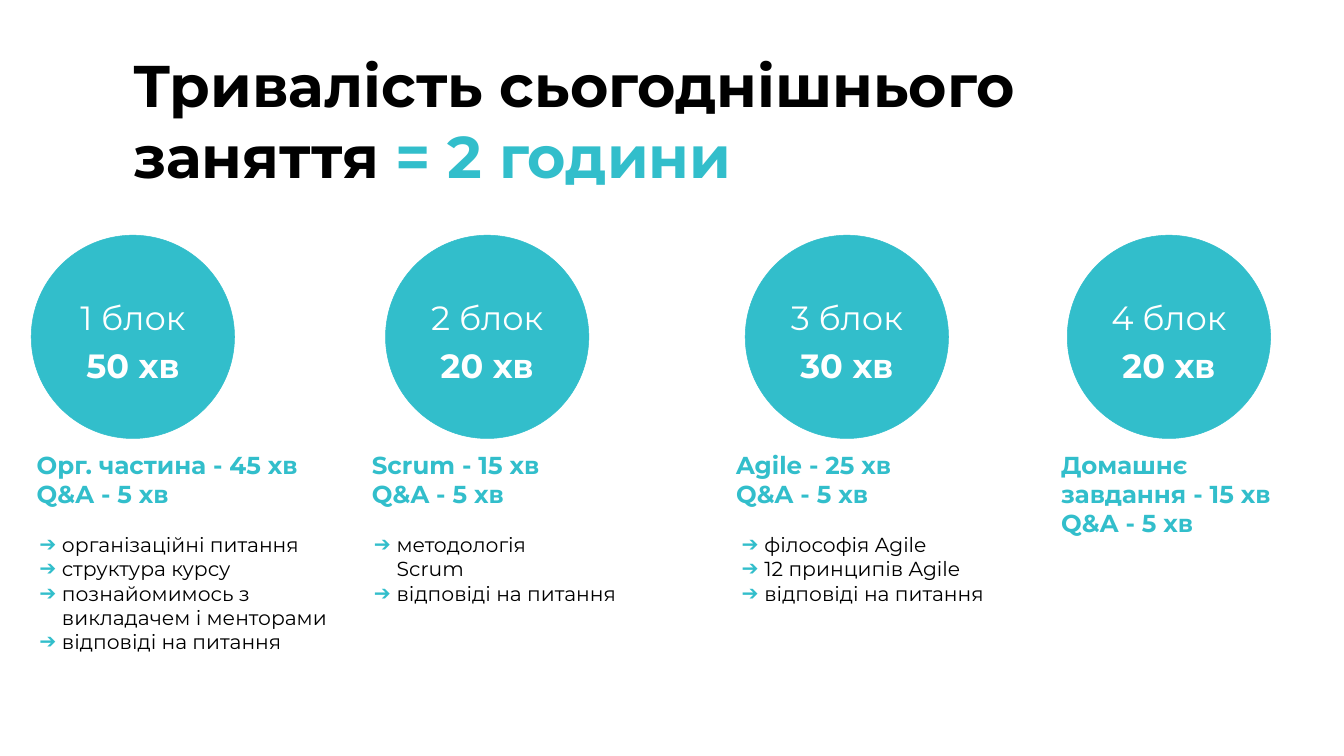
import pptx
import pptx.util
import pptx.dml.color
import pptx.enum.shapes
import pptx.enum.text
import pptx.oxml
import pptx.oxml.ns
import lxml.etree

Pt, Inches = pptx.util.Pt, pptx.util.Inches
Align, Anchor = pptx.enum.text.PP_ALIGN, pptx.enum.text.MSO_ANCHOR
TEAL, BLACK, WHITE = "32BECB", "000000", "FFFFFF"
COLS, ROWS = 80, 45


def color(hex):
    return pptx.dml.color.RGBColor.from_string(hex)


def write(para, text, size=29, fill=BLACK, bold=False, font="Montserrat"):
    """Add text to a paragraph; a newline becomes a line break."""
    for i, line in enumerate(text.split("\n")):
        if i:
            para.add_line_break()
        run = para.add_run()
        run.text = line
        run.font.name, run.font.size, run.font.bold = font, Pt(size), bold
        run.font.color.rgb = color(fill)


def bullet(para, mark="➔"):
    props = para._p.get_or_add_pPr()
    props.set("marL", str(Inches(0.51)))
    props.set("indent", str(Inches(-0.45)))
    qn = pptx.oxml.ns.qn
    tint = lxml.etree.SubElement(props, qn("a:buClr"))
    lxml.etree.SubElement(tint, qn("a:srgbClr")).set("val", TEAL)
    lxml.etree.SubElement(props, qn("a:buChar")).set("char", mark)


class Deck:
    def __init__(self):
        self.prs = pptx.Presentation()
        self.prs.slide_width, self.prs.slide_height = Inches(26.67), Inches(15)
        # The Comparison layout has a title and four body placeholders
        self.slide = self.prs.slides.add_slide(self.prs.slide_layouts[4])
        self.shapes = self.slide.shapes
        self.bodies = [p for p in self.slide.placeholders
                       if 1 <= p.placeholder_format.idx <= 4]

    def area(self, col, row, wide, high):
        w, h = self.prs.slide_width / COLS, self.prs.slide_height / ROWS
        return int(col * w), int(row * h), int(wide * w), int(high * h)

    def place(self, shape, area):
        shape.left, shape.top, shape.width, shape.height = area

    def frame(self, shape, side=0.1, edge=0.1, anchor=Anchor.TOP):
        frame = shape.text_frame
        frame.word_wrap = True
        frame.auto_size = pptx.enum.text.MSO_AUTO_SIZE.NONE
        frame.vertical_anchor = anchor
        frame.margin_left = frame.margin_right = Inches(side)
        frame.margin_top = frame.margin_bottom = Inches(edge)
        return frame

    def paras(self, frame, count, align=Align.LEFT, gap=1.0):
        for i in range(count):
            para = frame.add_paragraph() if i else frame.paragraphs[0]
            para.alignment, para.line_spacing = align, gap
            para.space_before = Pt(0)
            yield para

    def title(self, black, teal):
        shape = self.shapes.title
        self.place(shape, self.area(7.32, 3.15, 62.48, 7.95))
        frame = self.frame(shape, side=0.2, anchor=Anchor.MIDDLE)
        para = next(self.paras(frame, 1))
        write(para, black, size=84, bold=True)
        write(para, teal, size=84, bold=True, fill=TEAL)

    def disc(self, col, name, time):
        shape = self.shapes.add_shape(pptx.enum.shapes.MSO_SHAPE.OVAL,
                                      *self.area(col, 14, 12.1, 12.1))
        shape.shadow.inherit = False
        shape.fill.solid()
        shape.fill.fore_color.rgb = shape.line.color.rgb = color(TEAL)
        shape.line.width = Pt(0.75)
        frame = self.frame(shape, 0.27, 0.27, Anchor.MIDDLE)
        top, low = self.paras(frame, 2, Align.CENTER, 1.2)
        write(top, name, size=48, fill=WHITE)
        write(low, time, size=48, fill=WHITE, bold=True)

    def note(self, col, wide, lines, text):
        shape = self.shapes.add_textbox(
            *self.area(col, 26.46, wide, 0.6 + 1.77 * lines))
        top, low = self.paras(self.frame(shape), 2)
        write(top, text, size=35, fill=TEAL, bold=True)
        write(low, "Q&A - 5 хв", size=35, fill=TEAL, bold=True)

    def list(self, col, wide, lines, items):
        shape = self.bodies.pop(0)
        self.place(shape, self.area(col, 31.38, wide, 0.63 + 1.46 * lines))
        for para, item in zip(self.paras(self.frame(shape), len(items)), items):
            bullet(para)
            write(para, item)

    def save(self):
        for body in self.bodies:
            body.element.getparent().remove(body.element)
        self.prs.save("out.pptx")


# Per block: disc column, minutes, note (column, width, lines, text),
# list (column, width, lines, items)
ANSWERS = "відповіді на питання"
BLOCKS = [
    (1.86, 50, (1.89, 19.32, 2, "Орг. частина - 45 хв"),
     (1.86, 21.12, 5, ["організаційні питання", "структура курсу",
                       "познайомимось з викладачем і менторами", ANSWERS])),
    (22.95, 20, (21.84, 12.1, 2, "Scrum - 15 хв"),
     (21.78, 23, 3, ["методологія\nScrum", ANSWERS])),
    (44.36, 30, (43.52, 12.1, 2, "Agile - 25 хв"),
     (43.67, 23, 3, ["філософія Agile", "12 принципів Agile", ANSWERS])),
    (63.53, 20, (62.87, 15.18, 3, "Домашнє завдання - 15 хв"), None),
]


def main():
    deck = Deck()
    # Heading
    deck.title("Тривалість сьогоднішнього заняття ", "= 2 години")
    # Lesson blocks
    for number, (col, time, note, points) in enumerate(BLOCKS, 1):
        deck.disc(col, f"{number} блок", f"{time} хв")
        deck.note(*note)
        if points:
            deck.list(*points)
    deck.save()


if __name__ == "__main__":
    main()
